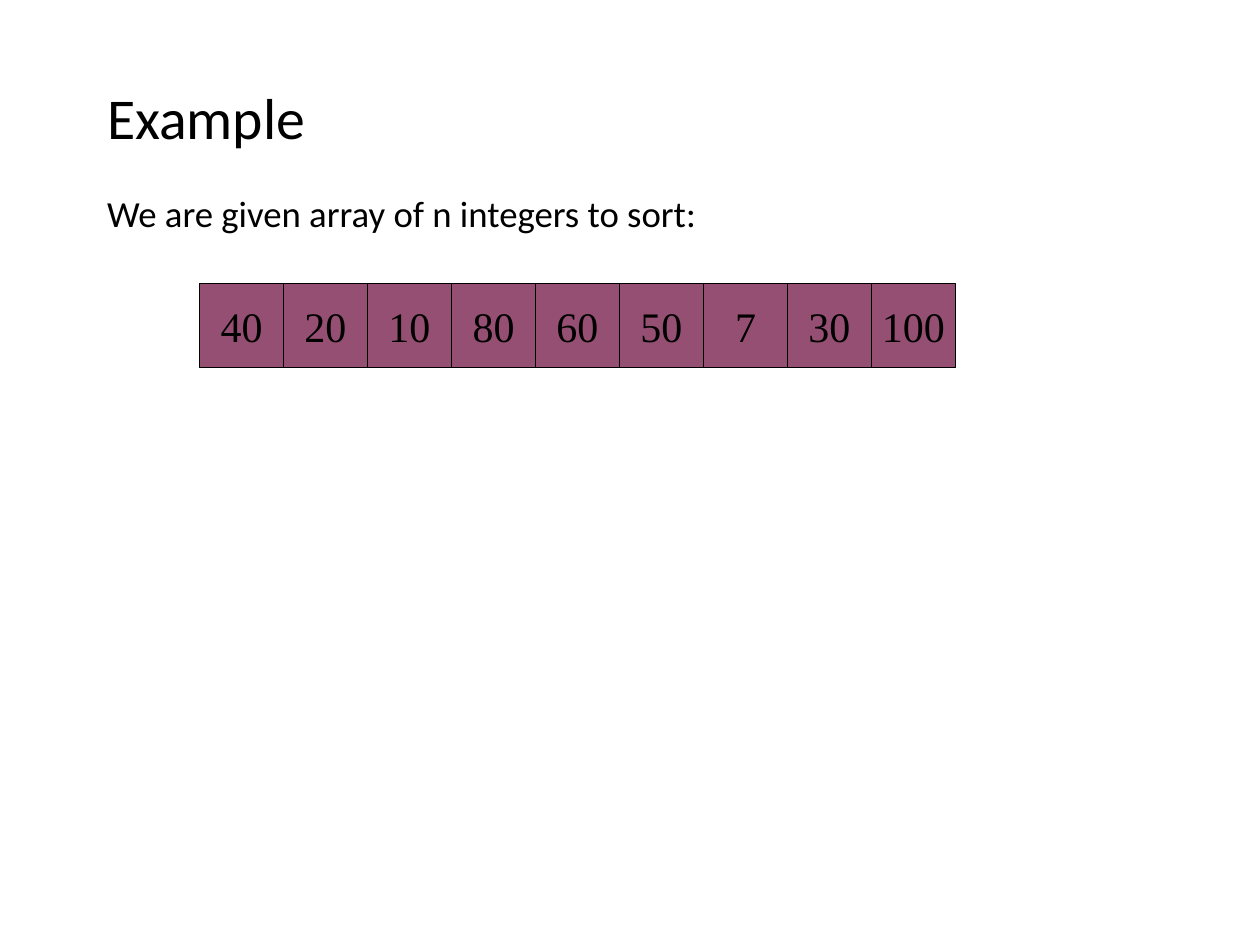
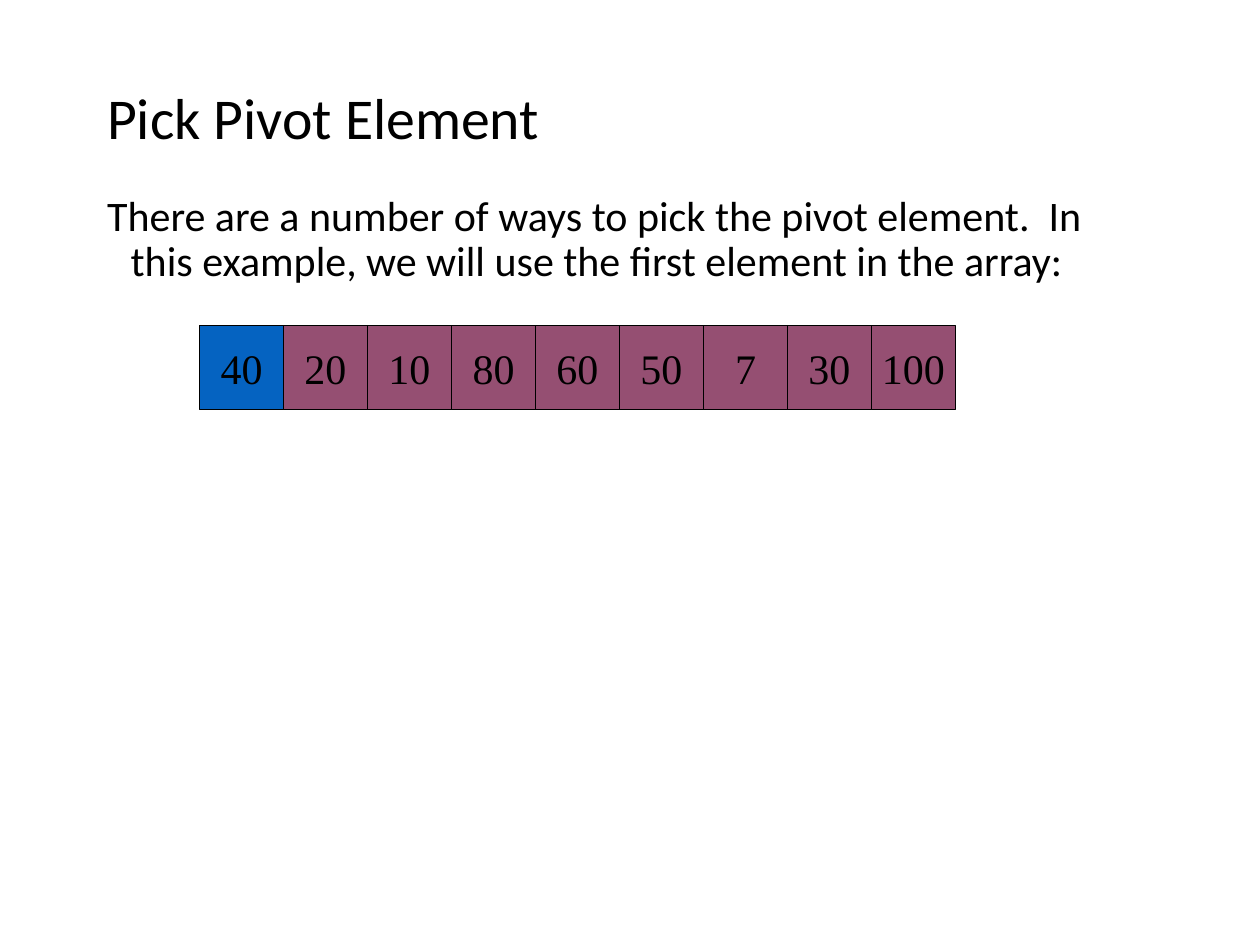
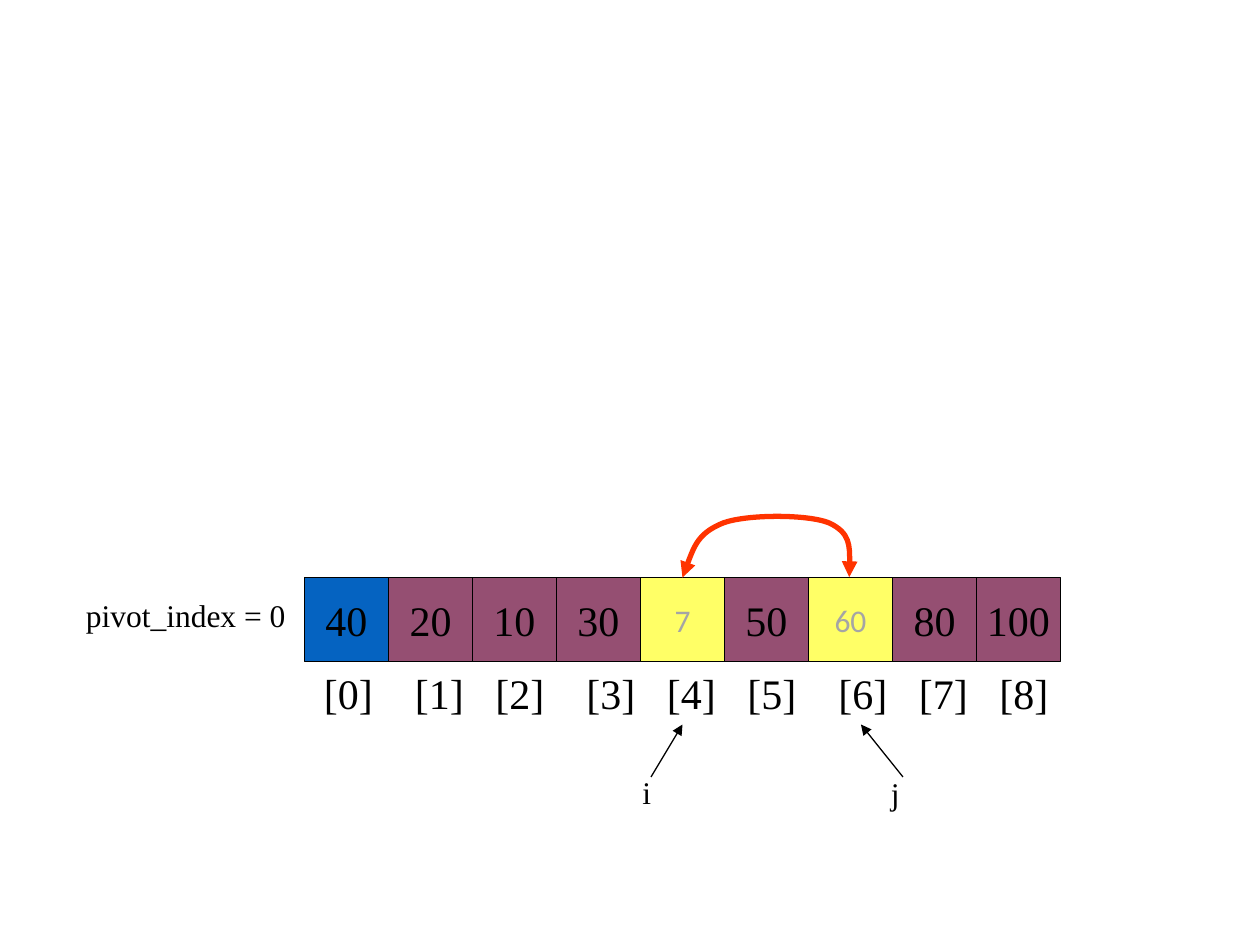
from dataclasses import dataclass
from itertools import accumulate

from lxml import etree
from pptx import Presentation
from pptx.dml.color import RGBColor
from pptx.enum.shapes import MSO_CONNECTOR, MSO_SHAPE
from pptx.enum.text import MSO_ANCHOR, MSO_AUTO_SIZE, PP_ALIGN
from pptx.oxml.ns import qn
from pptx.util import Pt

RECT = MSO_SHAPE.RECTANGLE
LINE = MSO_CONNECTOR.STRAIGHT
LEFT, CENTER = PP_ALIGN.LEFT, PP_ALIGN.CENTER
TOP, MIDDLE = MSO_ANCHOR.TOP, MSO_ANCHOR.MIDDLE
FIXED, GROW = MSO_AUTO_SIZE.NONE, MSO_AUTO_SIZE.SHAPE_TO_FIT_TEXT


@dataclass(frozen=True)
class Theme:
    """Colours, fonts and sizes that all slides share."""
    ink: str = "000000"
    plum: str = "954F72"
    blue: str = "0563C1"
    yellow: str = "FFFF66"
    grey: str = "A5A5A5"
    red: str = "FF3300"
    sans: str = "Calibri"
    serif: str = "Times New Roman"
    title: float = 33
    lead: float = 21
    large: float = 24
    small: float = 18
    thin: float = 0.75
    thick: float = 3
    cell: float = 48


THEME = Theme()
ARRAY = (40, 20, 10, 80, 60, 50, 7, 30, 100)
SWAPPED = (40, 20, 10, 30, 7, 50, 60, 80, 100)
GAPS = (52, 46, 52, 46, 46, 52, 46, 46)
SWAP = ((390, 330), (394.6, 316.8), (398.9, 304.6), (413.3, 298.8),
        (427, 293.8), (461.5, 293.8), (473.8, 298.8),
        (486, 304.6), (486, 316.8), (485.3, 329.8))


def place(shape, left, top, width, height):
    """Move and size a shape."""
    shape.left, shape.top = Pt(left), Pt(top)
    shape.width, shape.height = Pt(width), Pt(height)


def write(para, text, size, face, color=THEME.ink):
    """Add one formatted run to a paragraph."""
    run = para.add_run()
    run.text = text
    font = run.font
    font.size, font.name = Pt(size), face
    font.color.rgb = RGBColor.from_string(color)


def stroke(shape, color, width, *ends):
    """Draw the line of a shape, with arrowheads at the named ends."""
    shape.line.color.rgb = RGBColor.from_string(color)
    shape.line.width = Pt(width)
    for end in ends:
        etree.SubElement(shape.element.spPr.get_or_add_ln(), qn(end), type="triangle")


def add_head(deck, title, body, size):
    """Add a slide with a title and one unbulleted body line."""
    slide = deck.slides.add_slide(deck.slide_layouts[1])
    head, lead = slide.placeholders
    place(head, 54, 24, 612, 90)
    place(lead, 54, 108, 612, 324)
    for shape, anchor in ((head, MIDDLE), (lead, TOP)):
        frame = shape.text_frame
        frame.auto_size, frame.vertical_anchor = FIXED, anchor
        para = frame.paragraphs[0]
        para.alignment, para.line_spacing = LEFT, 0.9
        para.space_before = Pt(0)
    write(head.text_frame.paragraphs[0], title, THEME.title, THEME.sans)
    para = lead.text_frame.paragraphs[0]
    props = para._p.get_or_add_pPr()
    props.set("marL", str(Pt(13.5)))
    props.set("indent", str(Pt(-13.5)))
    etree.SubElement(props, qn("a:buNone"))
    write(para, body, size, THEME.sans)
    return slide


def add_cells(slide, values, left, top, pivot=None, marked=()):
    """Draw the array as a row of squares."""
    for index, value in enumerate(values):
        box = slide.shapes.add_shape(RECT, Pt(left + index * THEME.cell), Pt(top),
                                     Pt(THEME.cell), Pt(THEME.cell))
        box.shadow.inherit = False
        fill, style = THEME.plum, (THEME.large, THEME.serif)
        if index == pivot:
            fill = THEME.blue
        elif index in marked:
            fill, style = THEME.yellow, (THEME.small, THEME.sans, THEME.grey)
        box.fill.solid()
        box.fill.fore_color.rgb = RGBColor.from_string(fill)
        stroke(box, THEME.ink, THEME.thin)
        frame = box.text_frame
        frame.word_wrap, frame.vertical_anchor = False, MIDDLE
        para = frame.paragraphs[0]
        para.alignment = CENTER
        write(para, str(value), *style)


def add_label(slide, text, left, top, width, height, size=THEME.small, stops=()):
    """Add a serif text box with optional tab stops."""
    box = slide.shapes.add_textbox(Pt(left), Pt(top), Pt(width), Pt(height))
    frame = box.text_frame
    frame.word_wrap, frame.auto_size = True, GROW
    para = frame.paragraphs[0]
    if stops:
        tabs = etree.SubElement(para._p.get_or_add_pPr(), qn("a:tabLst"))
        for stop in stops:
            etree.SubElement(tabs, qn("a:tab"), pos=str(Pt(stop)), algn="l")
    write(para, text, size, THEME.serif)


def add_arrow(slide, start, end):
    """Add a thin arrow between two points."""
    arrow = slide.shapes.add_connector(LINE, *map(Pt, start + end))
    stroke(arrow, THEME.ink, THEME.thin, "a:tailEnd")
    etree.SubElement(arrow.element.spPr, qn("a:effectLst"))


def add_curve(slide, points):
    """Add a two-headed Bezier curve through groups of three points."""
    first, *rest = [(Pt(x), Pt(y)) for x, y in points]
    pen = slide.shapes.build_freeform(*first)
    pen.add_line_segments(rest, close=False)
    curve = pen.convert_to_shape()
    path = curve.element.find(".//" + qn("a:path"))
    lines = path.findall(qn("a:lnTo"))
    for at in range(0, len(lines), 3):
        bend = etree.SubElement(path, qn("a:cubicBezTo"))
        for line in lines[at:at + 3]:
            bend.append(line[0])
            path.remove(line)
    curve.shadow.inherit = False
    curve.fill.background()
    stroke(curve, THEME.red, THEME.thick, "a:headEnd", "a:tailEnd")


def add_swap(deck):
    """Add the slide that shows the swap of two elements."""
    slide = deck.slides.add_slide(deck.slide_layouts[6])
    add_cells(slide, SWAPPED, 174, 330, pivot=0, marked=(4, 6))
    add_label(slide, "pivot_index = 0", 42, 337, 132, 29)
    marks = "\t".join(f"[{index}]" for index in range(len(SWAPPED)))
    add_label(slide, marks, 178, 378, 440, 36, THEME.large, tuple(accumulate(GAPS)))
    add_label(slide, "i", 360, 438, 180, 29)
    add_label(slide, "j", 502, 439, 128, 29)
    add_arrow(slide, (516, 444), (492, 414))
    add_arrow(slide, (372, 444), (390, 414))
    add_curve(slide, SWAP)


def main():
    """Build and save the deck."""
    deck = Presentation()
    deck.slide_width, deck.slide_height = Pt(720), Pt(540)
    slide = add_head(deck, "Example", "We are given array of n integers to sort:",
                     THEME.lead)
    add_cells(slide, ARRAY, 114, 162)
    slide = add_head(deck, "Pick Pivot Element",
                     "There are a number of ways to pick the pivot element.  In this "
                     "example, we will use the first element in the array:", THEME.large)
    add_cells(slide, ARRAY, 114, 186, pivot=0)
    add_swap(deck)
    deck.save("out.pptx")


if __name__ == "__main__":
    main()
